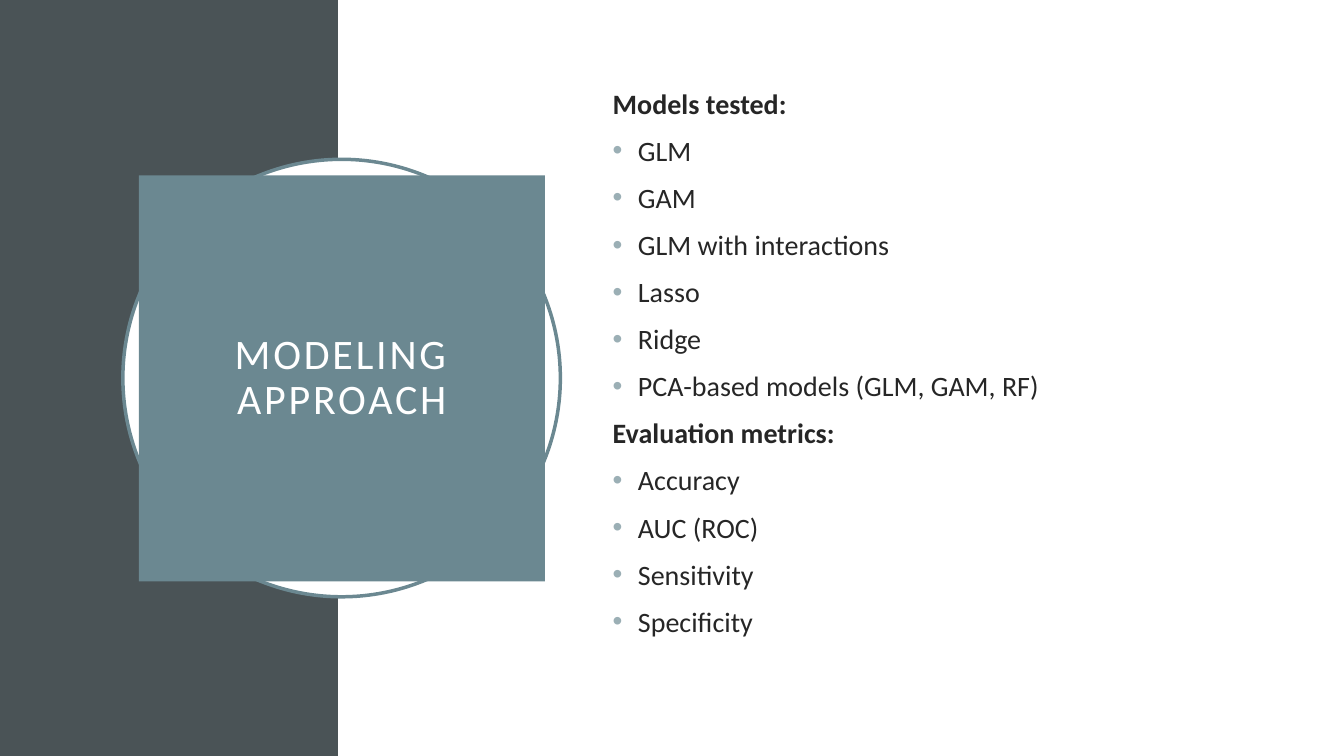
from dataclasses import dataclass

from lxml.etree import SubElement
from pptx import Presentation
from pptx.dml.color import RGBColor
from pptx.enum.shapes import MSO_SHAPE
from pptx.enum.text import MSO_ANCHOR, PP_ALIGN
from pptx.oxml.ns import qn
from pptx.shapes.autoshape import Shape
from pptx.slide import Slide
from pptx.text.text import _Paragraph as Paragraph
from pptx.util import Pt


@dataclass(frozen=True)
class Theme:
    font: str = "Calibri"
    slate: str = "4A5356"
    teal: str = "6B8891"
    white: str = "FFFFFF"
    ink: str = "262626"
    bullet: str = "9BAFB5"
    title_size: float = 30
    body_size: float = 20
    title_tracking: float = 2
    body_gap: float = 9.6
    bullet_indent: float = 18


@dataclass(frozen=True)
class Frame:
    left: float
    top: float
    width: float
    height: float


@dataclass(frozen=True)
class Section:
    heading: str
    items: tuple[str, ...]


THEME = Theme()
SLIDE = Frame(0, 0, 960, 540)
SIDEBAR = Frame(0, 0, 241.6, 540)
RING = Frame(87.8, 113.8, 312.5, 312.5)
TITLE = Frame(99.2, 125.2, 290, 290)
BODY = Frame(430.6, 46, 499.7, 425.3)
SECTIONS = (
    Section("Models tested:", (
        "GLM", "GAM", "GLM with interactions", "Lasso", "Ridge",
        "PCA-based models (GLM, GAM, RF)",
    )),
    Section("Evaluation metrics:", (
        "Accuracy", "AUC (ROC)", "Sensitivity", "Specificity",
    )),
)


def place(frame: Frame) -> tuple[Pt, Pt, Pt, Pt]:
    """Turn a frame into the four lengths that python-pptx takes."""
    return Pt(frame.left), Pt(frame.top), Pt(frame.width), Pt(frame.height)


def add_block(page: Slide, kind: MSO_SHAPE, frame: Frame, fill: str,
              line: str | None = None) -> Shape:
    block = page.shapes.add_shape(kind, *place(frame))
    block.shadow.inherit = False
    block.fill.solid()
    block.fill.fore_color.rgb = RGBColor.from_string(fill)
    if line:
        block.line.color.rgb = RGBColor.from_string(line)
        block.line.width = Pt(2.5)
    else:
        block.line.fill.background()
    return block


def format_spans(para: Paragraph, size: float, color: str,
                 bold: bool = False, tracking: float = 0) -> None:
    for span in para.runs:
        span.font.name = THEME.font
        span.font.size = Pt(size)
        span.font.bold = bold
        span.font.color.rgb = RGBColor.from_string(color)
        if tracking:
            span._r.get_or_add_rPr().set("spc", str(int(tracking * 100)))


def add_bullet(para: Paragraph) -> None:
    properties = para._p.get_or_add_pPr()
    indent = Pt(THEME.bullet_indent)
    properties.set("marL", str(indent))
    properties.set("indent", str(-indent))
    color = SubElement(properties, qn("a:buClr"))
    SubElement(color, qn("a:srgbClr"), val=THEME.bullet)
    SubElement(properties, qn("a:buFont"), typeface="Arial")
    SubElement(properties, qn("a:buChar"), char="•")


def add_title(page: Slide) -> None:
    box = add_block(page, MSO_SHAPE.RECTANGLE, TITLE, THEME.teal)
    text_frame = box.text_frame
    text_frame.word_wrap = True
    text_frame.vertical_anchor = MSO_ANCHOR.MIDDLE
    text_frame.text = "MODELING\vAPPROACH"
    para = text_frame.paragraphs[0]
    para.alignment = PP_ALIGN.CENTER
    para.line_spacing = 0.9
    format_spans(para, THEME.title_size, THEME.white,
                 tracking=THEME.title_tracking)


def add_body(page: Slide) -> None:
    text_frame = page.shapes.add_textbox(*place(BODY)).text_frame
    text_frame.word_wrap = True
    text_frame.vertical_anchor = MSO_ANCHOR.MIDDLE
    lines = [(text, text == section.heading)
             for section in SECTIONS
             for text in (section.heading, *section.items)]
    text_frame.text = "\n".join(text for text, _ in lines)
    for number, (para, (_, is_heading)) in enumerate(
            zip(text_frame.paragraphs, lines)):
        if number:
            para.space_before = Pt(THEME.body_gap)
        if not is_heading:
            add_bullet(para)
        format_spans(para, THEME.body_size, THEME.ink, bold=is_heading)


def main() -> None:
    deck = Presentation()
    deck.slide_width, deck.slide_height = Pt(SLIDE.width), Pt(SLIDE.height)
    page = deck.slides.add_slide(deck.slide_layouts[6])
    main_area = Frame(SIDEBAR.width, 0, SLIDE.width - SIDEBAR.width,
                      SLIDE.height)
    add_block(page, MSO_SHAPE.RECTANGLE, SIDEBAR, THEME.slate)
    add_block(page, MSO_SHAPE.RECTANGLE, main_area, THEME.white)
    add_block(page, MSO_SHAPE.OVAL, RING, THEME.white, THEME.teal)
    add_title(page)
    add_body(page)
    deck.save("out.pptx")


if __name__ == "__main__":
    main()
